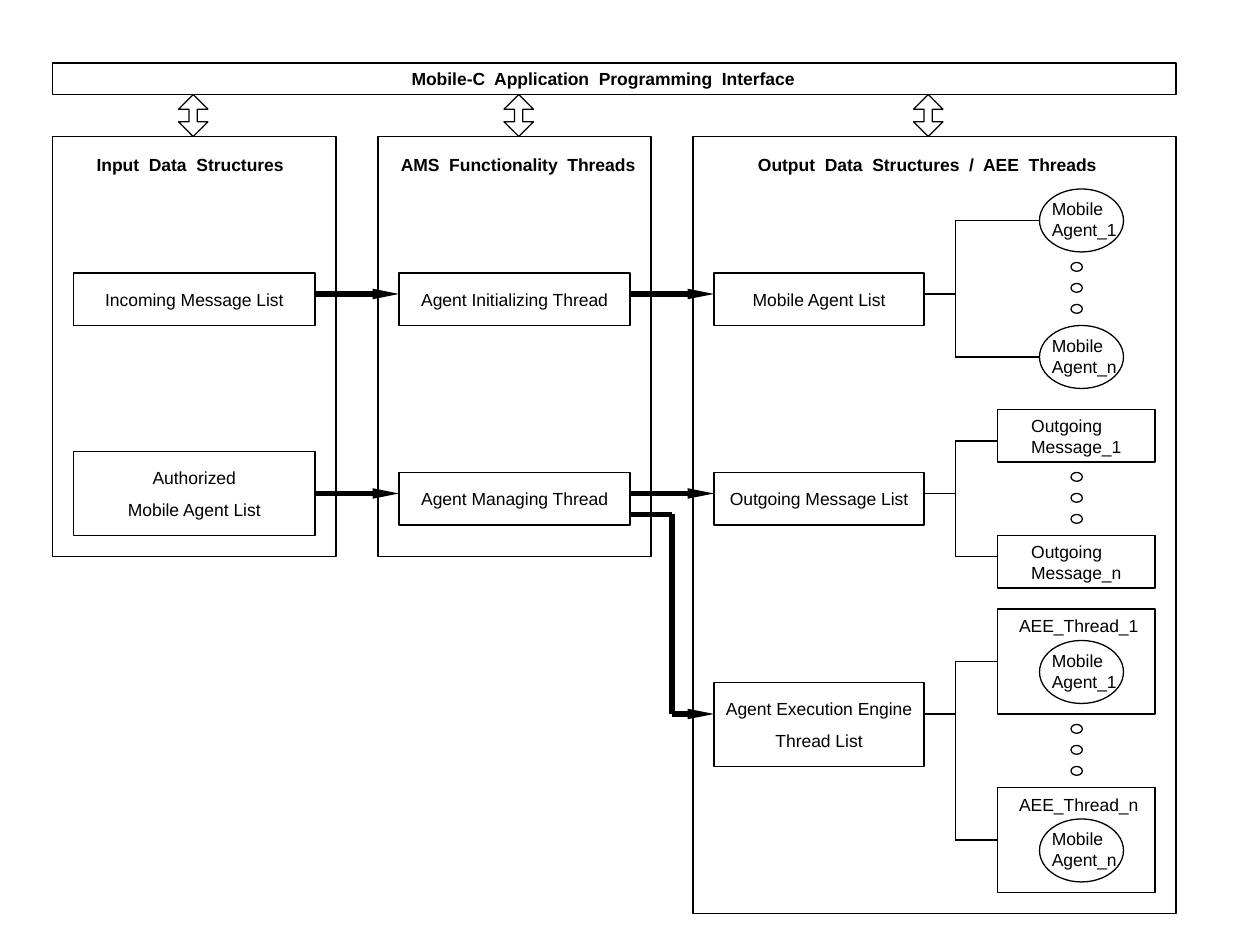
from lxml import etree
from pptx import Presentation
from pptx.dml.color import RGBColor
from pptx.enum.shapes import MSO_CONNECTOR, MSO_SHAPE as SHAPE
from pptx.enum.text import MSO_ANCHOR as ANCHOR, PP_ALIGN as ALIGN
from pptx.oxml.ns import qn
from pptx.util import Cm, Pt

GRID = 2.54 / 12  # the diagram sits on a grid of 12 steps per inch
BLACK = RGBColor.from_string("000000")


def box(x, y, w, h, text="", kind=SHAPE.RECTANGLE, align=ALIGN.CENTER,
        anchor=ANCHOR.MIDDLE, left=0, top=0, gap=0, bold=False, wrap=True):
    """Outlined shape in grid steps; left and top insets in cm, gap in points."""
    s = shapes.add_shape(kind, *(Cm(v * GRID) for v in (x, y, w, h)))
    s.shadow.inherit = False
    s.fill.background()
    s.line.color.rgb = BLACK
    s.line.width = Pt(0.75)
    if not text:
        return s
    tf = s.text_frame
    tf.word_wrap = wrap
    tf.vertical_anchor = anchor
    tf.margin_left, tf.margin_top = Cm(left), Cm(top)
    tf.margin_right = tf.margin_bottom = 0
    tf.text = text
    for i, p in enumerate(tf.paragraphs):
        p.alignment = align
        p.space_before = Pt(gap if i else 0)
        for r in p.runs:
            r.font.name, r.font.size, r.font.bold = "Arial", Pt(10), bold
            r.font.color.rgb = BLACK
    return s


def line(x1, y1, x2, y2, width=0.75, arrow=False):
    c = shapes.add_connector(MSO_CONNECTOR.STRAIGHT,
                             *(Cm(v * GRID) for v in (x1, y1, x2, y2)))
    c.line.color.rgb = BLACK
    c.line.width = Pt(width)
    if arrow:
        etree.SubElement(c.line._get_or_add_ln(), qn("a:tailEnd"),
                         type="triangle", w="sm", len="lg")
    etree.SubElement(c._element.spPr, qn("a:effectLst"))
    return c


prs = Presentation()
prs.slide_width, prs.slide_height = Cm(25.4), Cm(19.05)
shapes = prs.slides.add_slide(prs.slide_layouts[6]).shapes

# Interface bar and the arrows below it
box(5, 6, 107, 3, "Mobile-C  Application  Programming  Interface",
    align=ALIGN.LEFT, left=7.24, bold=True)
for x in (17, 48, 87):
    s = box(x, 9, 2.8, 4, kind=SHAPE.UP_DOWN_ARROW)
    s.adjustments[0], s.adjustments[1] = 0.5, 0.285

# Columns: x, width, height, left inset, heading
for x, w, h, left, heading in (
    (5, 27, 40, 0.89, "Input  Data  Structures"),
    (36, 26, 40, 0.46, "AMS  Functionality  Threads"),
    (66, 46, 74, 1.31, "Output  Data  Structures  /  AEE  Threads"),
):
    box(x, 13, w, h, heading, align=ALIGN.LEFT, anchor=ANCHOR.TOP,
        left=left, top=0.35, bold=True)

# Lists and threads
box(7, 26, 23, 5, "Incoming Message List")
authorized = box(7, 43, 23, 8, "Authorized\nMobile Agent List", gap=6.2)
box(38, 26, 22, 5, "Agent Initializing Thread")
box(38, 45, 22, 5, "Agent Managing Thread")
box(68, 26, 20, 5, "Mobile Agent List")
box(68, 45, 20, 5, "Outgoing Message List")
box(68, 65, 20, 8, "Agent Execution Engine\nThread List", gap=6.2)

# Thick flow arrows
for y in (28, 47):
    flow = line(30, y, 38, y, 3, arrow=True)
    line(60, y, 68, y, 3, arrow=True)
flow.begin_connect(authorized, 3)
line(60, 49, 64, 49, 3)
line(64, 49, 64, 68, 3)
line(64, 68, 68, 68, 3, arrow=True)

# Branches: y of the stem, y of the two ends, x of the ends
branches = []
for stem, first, last, end in ((28, 21, 34, 99), (47, 42, 53, 95), (68, 63, 80, 95)):
    line(88, stem, 91, stem)
    line(91, first, 91, last)
    branches.append([line(91, y, end, y) for y in (first, last)])

# Items from 1 to n at the ends of the branches
for i, n in enumerate("1n"):
    box(95, (39, 51)[i], 15, 5, f"Outgoing\nMessage_{n}", align=ALIGN.LEFT, left=0.68)
    thread = box(95, (58, 75)[i], 15, 10, f"AEE_Thread_{n}",
                 anchor=ANCHOR.TOP, left=0.1, top=0.13)
    branches[2][i].end_connect(thread, 1)
    for y in ((18, 31)[i], (61, 78)[i]):
        box(99, y, 8, 6, f"Mobile\nAgent_{n}", SHAPE.OVAL, ALIGN.LEFT,
            ANCHOR.TOP, wrap=False)

# Three dots between the first and last item
for start in (25, 45, 69):
    for k in range(3):
        box(102, start + 2 * k, 1.08, 0.84, kind=SHAPE.FLOWCHART_CONNECTOR)

prs.save("out.pptx")
